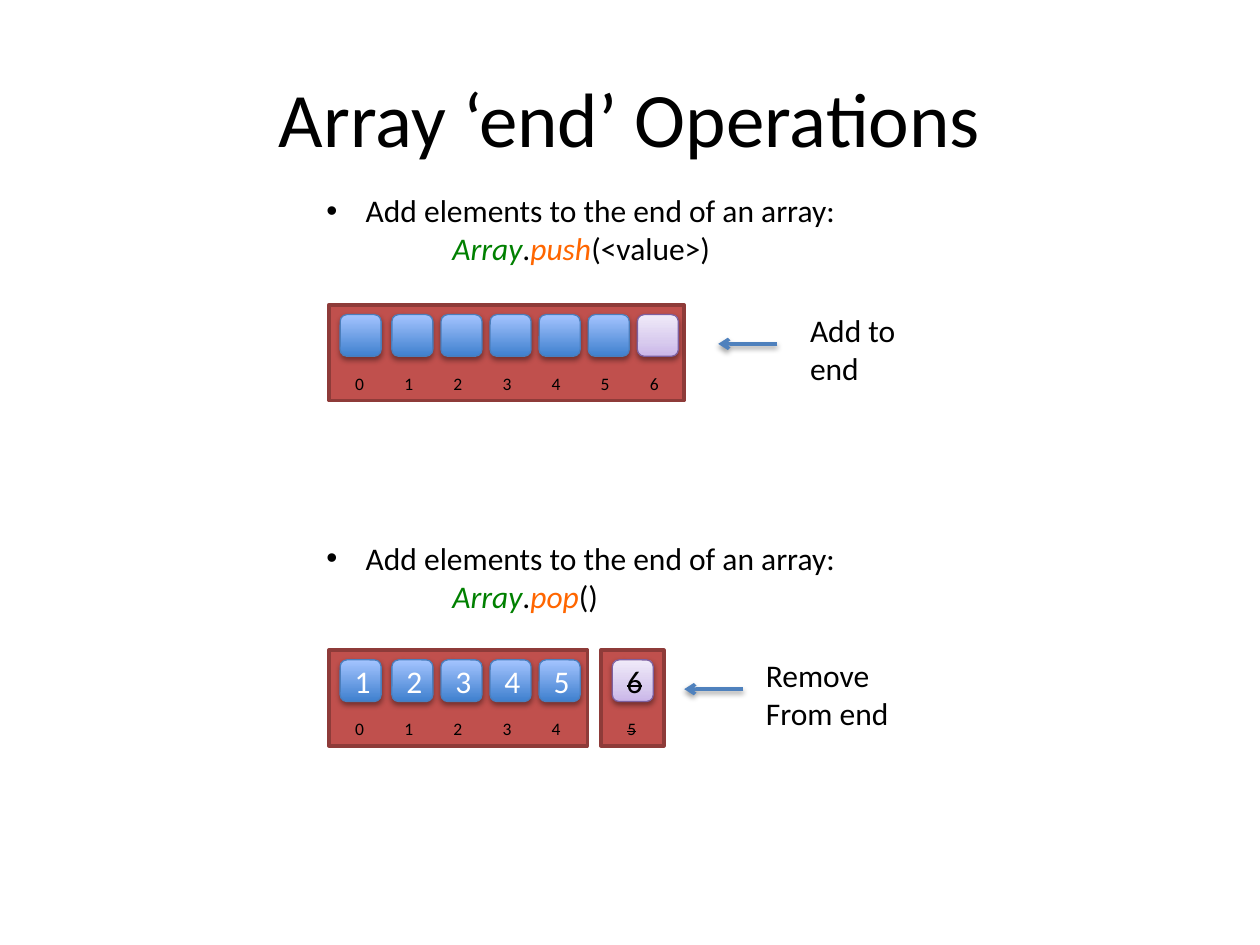
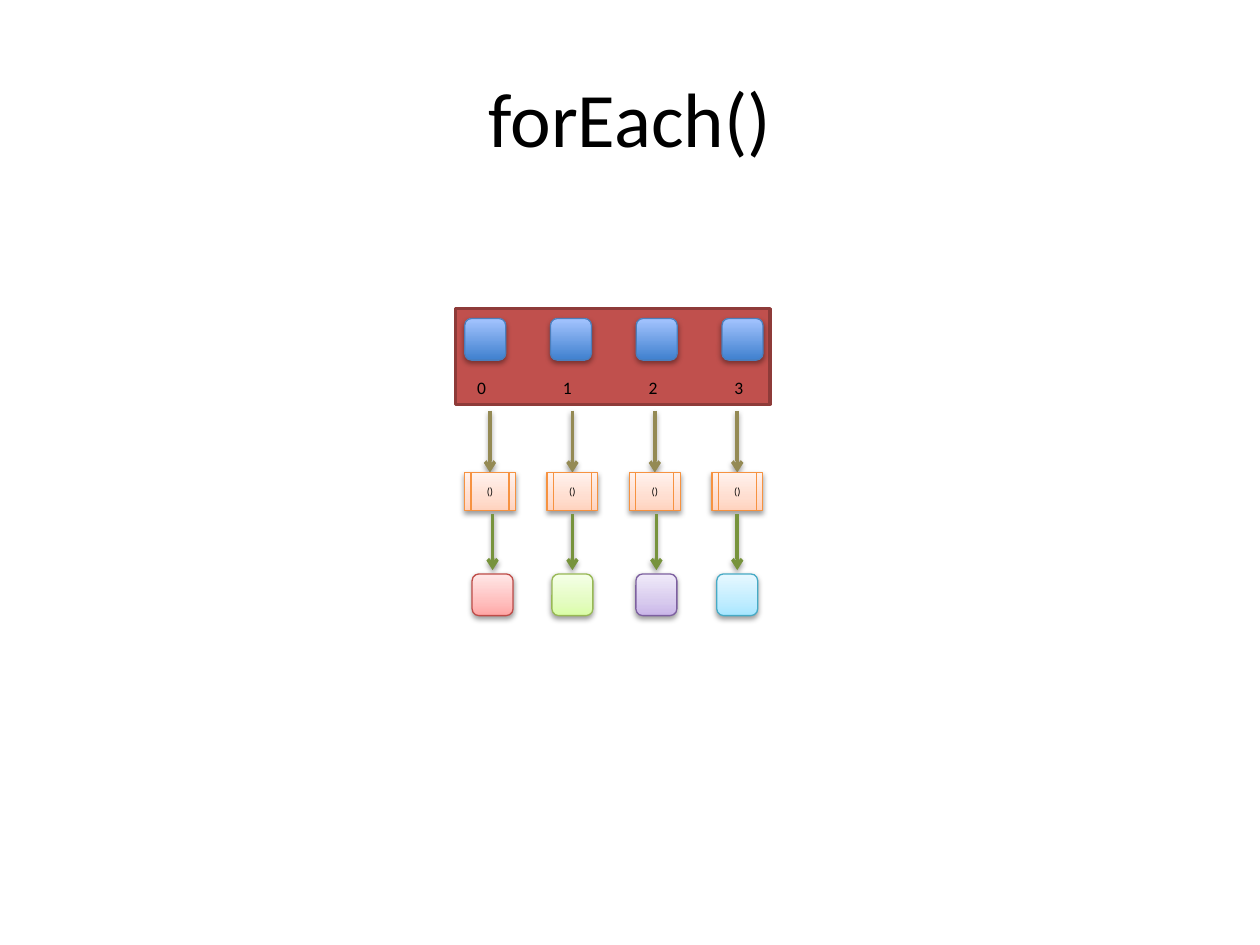
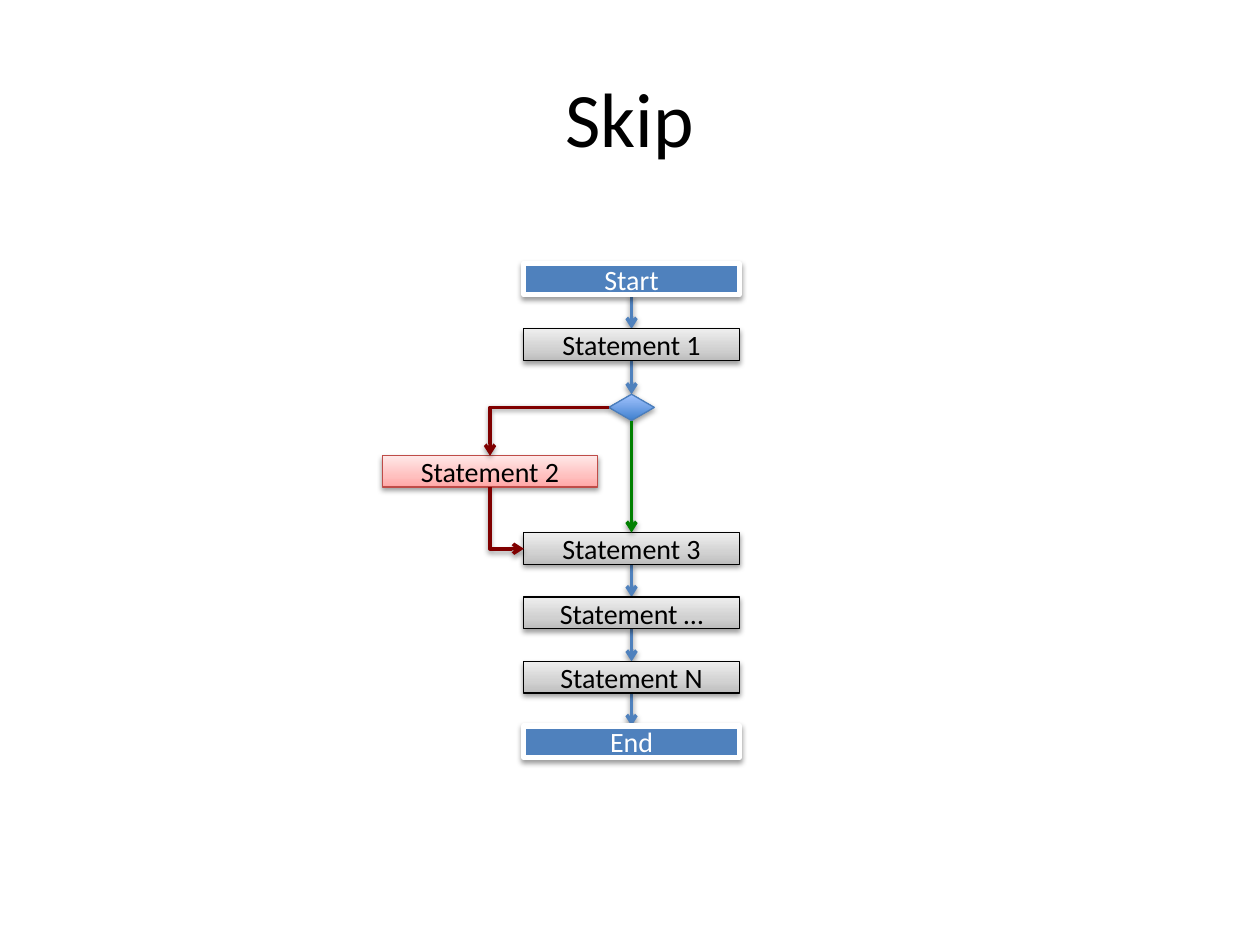
from lxml.etree import SubElement
from pptx import Presentation
from pptx.dml.color import RGBColor
from pptx.enum.shapes import MSO_CONNECTOR as LINE, MSO_SHAPE as SHAPE
from pptx.enum.text import MSO_ANCHOR as ANCHOR, MSO_AUTO_SIZE as FIT, PP_ALIGN as ALIGN
from pptx.oxml.ns import qn
from pptx.util import Pt

FONT = "Calibri"
COLORS = {
    "black": "000000", "white": "FFFFFF", "blue": "4F81BD", "olive": "77933C",
    "tan": "948A54", "maroon": "800000", "green": "008000", "orange": "FF6600",
}
# Gradient stops from bottom to top (or one plain fill), line colour, line width
LOOKS = {
    "array": (["C0504D"], "8E3B39", 2),
    "terminal": (["4F81BD"], "FFFFFF", 3),
    "blue": (["3F80CE", "A4C4FF"], "4B7EBC", 0.75),
    "gray": (["BDBDBD", "D1D1D1", "EEEEEE"], "000000", 0.75),
    "red": (["FFA6A5", "FFC0BF", "FFE7E7"], "BF4C48", 0.75),
    "orange": (["FFD2BD", "FFDED0", "FFF2ED"], "F69240", 0.75),
    "green": (["DAFDA7", "E4FCC2", "F5FFE7"], "98B955", 0.75),
    "purple": (["C9B5E8", "D8CBEE", "F0EAF9"], "7D60A0", 0.75),
    "aqua": (["A7E6FF", "C1EDFF", "E7F8FF"], "46AAC5", 0.75),
}
CELL_W, CELL_H = 23.4, 23.8
STEP_W, STEP_H = 123.1, 18


def rgb(name):
    return RGBColor.from_string(COLORS[name])


def format_run(r, size, color="black", italic=False, strike=False):
    r.font.name, r.font.size, r.font.italic = FONT, Pt(size), italic
    r.font.color.rgb = rgb(color)
    if strike:
        r._r.get_or_add_rPr().set("strike", "sngStrike")


def write(tf, text, size, color="black", align=ALIGN.LEFT, strike=False):
    tf.text = text
    for p in tf.paragraphs:
        p.alignment = align
        for r in p.runs:
            format_run(r, size, color, strike=strike)


def place(sp, left, top, width, height):
    sp.left, sp.top, sp.width, sp.height = Pt(left), Pt(top), Pt(width), Pt(height)


def add_shadow(sp_pr):
    effects = sp_pr.find(qn("a:effectLst"))
    if effects is None:
        effects = SubElement(sp_pr, qn("a:effectLst"))
    shadow = SubElement(effects, qn("a:outerShdw"), blurRad=str(Pt(3.1)),
                        dist=str(Pt(1.6)), dir="5400000", rotWithShape="0")
    color = SubElement(shadow, qn("a:srgbClr"), val=COLORS["black"])
    SubElement(color, qn("a:alpha"), val="38000")


def fill_gradient(sp, stops):
    sp.fill.gradient()
    sp.fill.gradient_angle = 90
    stop_list = sp._element.spPr.find(qn("a:gradFill")).find(qn("a:gsLst"))
    stop_list.clear()
    positions = (0, 100) if len(stops) == 2 else (0, 35, 100)
    for position, color in zip(positions, stops):
        stop = SubElement(stop_list, qn("a:gs"), pos=str(position * 1000))
        SubElement(stop, qn("a:srgbClr"), val=color)


def add_box(s, kind, left, top, width, height, look, text="", size=18,
            color="black", strike=False):
    sp = s.shapes.add_shape(kind, Pt(left), Pt(top), Pt(width), Pt(height))
    fills, line, weight = LOOKS[look]
    if len(fills) == 1:
        sp.fill.solid()
        sp.fill.fore_color.rgb = RGBColor.from_string(fills[0])
    else:
        fill_gradient(sp, fills)
    sp.line.color.rgb = RGBColor.from_string(line)
    sp.line.width = Pt(weight)
    sp.shadow.inherit = False
    if look != "array":
        add_shadow(sp._element.spPr)
    if text:
        sp.text_frame.vertical_anchor = ANCHOR.MIDDLE
        write(sp.text_frame, text, size, color, ALIGN.CENTER, strike)


def add_label(s, left, top, width, height, text, size, wrap=True, strike=False):
    tf = s.shapes.add_textbox(Pt(left), Pt(top), Pt(width), Pt(height)).text_frame
    tf.word_wrap, tf.auto_size = wrap, FIT.SHAPE_TO_FIT_TEXT
    write(tf, text, size, strike=strike)


def style_arrow(connector, color):
    connector.line.color.rgb = rgb(color)
    connector.line.width = Pt(2)
    SubElement(connector.line._get_or_add_ln(), qn("a:tailEnd"), type="arrow")
    add_shadow(connector._element.spPr)


def add_arrow(s, x1, y1, x2, y2, color="blue"):
    style_arrow(s.shapes.add_connector(LINE.STRAIGHT, Pt(x1), Pt(y1), Pt(x2), Pt(y2)), color)


def add_elbow(s, left, top, width, height, rotation, flip, color):
    """One-bend arrow, given by its box before rotation and flip."""
    connector = s.shapes.add_connector(LINE.ELBOW, Pt(left), Pt(top),
                                       Pt(left + width), Pt(top + height))
    sp_pr = connector._element.spPr
    sp_pr.find(qn("a:prstGeom")).set("prst", "bentConnector2")
    xfrm = sp_pr.find(qn("a:xfrm"))
    xfrm.set("rot", str(rotation * 60000))
    xfrm.set(flip, "1")
    style_arrow(connector, color)


def add_array(s, left, top, width, slots, values, looks, first=0, nudge=0,
              color="white", strike=False):
    """Array frame with its cells and their indexes; nudge moves the first cell left."""
    add_box(s, SHAPE.RECTANGLE, left, top, width, 54.7, "array")
    for i, (x, value, look) in enumerate(zip(slots, values, looks)):
        cell_left = x if i else x - nudge
        add_box(s, SHAPE.ROUNDED_RECTANGLE, cell_left, top + 5.6, CELL_W, CELL_H,
                look, value, color=color, strike=strike)
        add_label(s, x, top + 35.3, CELL_W, 19.4, str(first + i), 10, strike=strike)


def add_method(body, top, method, arguments):
    """Bullet with the method call indented below it."""
    place(body, 179.3, top, 360, 50.9)
    tf = body.text_frame
    tf.auto_size = FIT.SHAPE_TO_FIT_TEXT
    tf.text = "Add elements to the end of an array:"
    intro, call = tf.paragraphs[0], tf.add_paragraph()
    format_run(intro.runs[0], 18)
    call.level = 1
    for p, margin, indent in ((intro, 22.5, -22.5), (call, 72, 0)):
        p_pr = p._p.get_or_add_pPr()
        p_pr.set("marL", str(Pt(margin)))
        p_pr.set("indent", str(Pt(indent)))
        p.space_before = Pt(0)
    SubElement(call._p.get_or_add_pPr(), qn("a:buNone"))
    for text, color, italic in (("Array", "green", True), (".", "black", False),
                                (method, "orange", True), (arguments, "black", False)):
        r = call.add_run()
        r.text = text
        format_run(r, 18, color, italic)


def new_slide(prs, layout, title):
    s = prs.slides.add_slide(prs.slide_layouts.get_by_name(layout))
    sp = s.shapes.title
    place(sp, 36, 21.6, 648, 90)
    sp.text_frame.vertical_anchor = ANCHOR.MIDDLE
    write(sp.text_frame, title, 44, align=ALIGN.CENTER)
    return s


def end_operations(prs):
    s = new_slide(prs, "Two Content", "Array ‘end’ Operations")
    slots = [195.9 + 28.06 * i for i in range(7)]
    # push
    add_method(s.placeholders[1], 105.8, "push", "(<value>)")
    add_array(s, 187.9, 174.2, 203, slots, [""] * 7, ["blue"] * 6 + ["purple"], nudge=1.5)
    add_arrow(s, 444.2, 196.5, 410.4, 196.5)
    add_label(s, 455.8, 174.2, 64, 50.9, "Add to\nend", 18, wrap=False)
    # pop
    add_method(s.placeholders[2], 304.4, "pop", "()")
    add_array(s, 187.9, 371.5, 147.8, slots, "12345", ["blue"] * 5, nudge=1.5)
    add_array(s, 343.4, 371.5, 36, [351.4], "6", ["purple"], first=5, nudge=1.5,
              color="black", strike=True)
    add_arrow(s, 424.8, 393.8, 391, 393.8)
    add_label(s, 430.6, 371.5, 88.6, 50.9, "Remove\nFrom end", 18)


def for_each(prs):
    s = new_slide(prs, "Title Only", "forEach()")
    add_array(s, 260.3, 176.4, 179.6, [265.6 + 49 * i for i in range(4)],
              [""] * 4, ["blue"] * 4)
    results = ((281.5, "red"), (327.1, "green"), (375.1, "purple"), (421.3, "aqua"))
    for i, (result_x, look) in enumerate(results):
        call_x = 280 + 47.1 * i
        add_arrow(s, call_x, 234.7, call_x, 270, "tan")
        add_box(s, SHAPE.FLOWCHART_PREDEFINED_PROCESS, call_x - 14.5, 270, 29, 21.9,
                "orange", "()", 6)
        add_arrow(s, result_x, 293.8, result_x, 325.8, "olive")
        add_box(s, SHAPE.ROUNDED_RECTANGLE, result_x - CELL_W / 2, 328, CELL_W, CELL_H, look)


def skip(prs):
    s = new_slide(prs, "Title Only", "Skip")
    center = 360.9
    before = [150.5 + 37.4 * i for i in range(3)]
    after = [304.4 + 36.8 * i for i in range(4)]
    decision = before[2]
    # Arrows down the main path
    for tops in (before, after):
        for top, next_top in zip(tops, tops[1:]):
            add_arrow(s, center, top + STEP_H, center, next_top)
    # Steps
    names = ("Start", "Statement 1", "Statement 3", "Statement …", "Statement N", "End")
    for name, top in zip(names, before[:2] + after):
        terminal = name in ("Start", "End")
        add_box(s, SHAPE.RECTANGLE, center - STEP_W / 2, top, STEP_W, STEP_H,
                "terminal" if terminal else "gray", name, 16,
                "white" if terminal else "black")
    add_box(s, SHAPE.RECTANGLE, 218.4, 260.4, STEP_W, STEP_H, "red", "Statement 2", 16)
    add_box(s, SHAPE.FLOWCHART_DECISION, center - 13, decision, 26, 15, "blue")
    # Branches
    add_arrow(s, center, decision + 15, center, after[0], "green")
    add_elbow(s, 280, 232.7, 67.9, 27.7, 180, "flipV", "maroon")
    add_elbow(s, 272.1, 286.3, 35.2, 19.4, 270, "flipH", "maroon")


def main():
    prs = Presentation()
    prs.slide_width, prs.slide_height = Pt(720), Pt(540)
    end_operations(prs)
    for_each(prs)
    skip(prs)
    prs.save("out.pptx")


if __name__ == "__main__":
    main()
